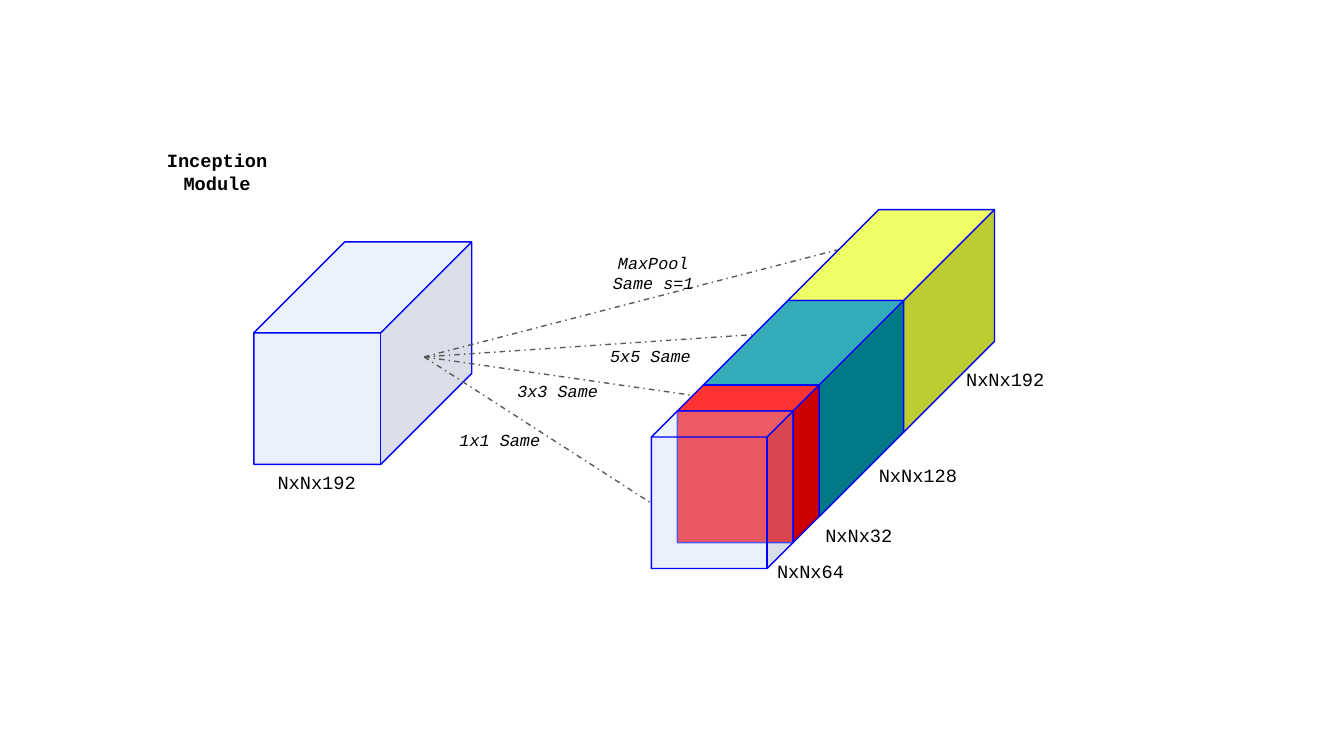
from lxml import etree
from pptx import Presentation
from pptx.dml.color import RGBColor
from pptx.enum import dml, shapes, text
from pptx.oxml.ns import qn
from pptx.util import Pt

FONT = "Courier New"
BLACK, BLUE, GREY, PALE = "000000", "0000FF", "595959", "C9DAF8"
FRONT_HEIGHT = 70.5

TITLE = ("Inception Module", 85.7, 79.9, 61.2, 25.2)

# right and top of the rear edge, front width, then (depth, colour, opacity %) from back to front
STACKS = [
    (252.7, 129.6, 68, [(48.7, PALE, 40)]),
    (532.8, 112.3, 62, [
        (48.7, "EEFF41", 100),
        (45.3, "0097A7", 100),
        (13.9, "FF0000", 100),
        (13.9, PALE, 40),
    ]),
]

# text, left, top, width
SIZE_LABELS = [
    ("NxNx192", 139, 252, 61.2),
    ("NxNx64", 412.6, 300.2, 43.2),
    ("NxNx32", 438.5, 280.8, 43.2),
    ("NxNx128", 468, 248.4, 47.5),
    ("NxNx192", 514.8, 197.3, 47.5),
]
FILTER_LABELS = [
    ("1x1 Same", 245.5, 230.4, 44.5),
    ("3x3 Same", 276.5, 203.8, 44.5),
    ("5x5 Same", 326.2, 185, 44.5),
    ("MaxPool Same s=1", 327.7, 135.4, 44.5),
]
LABEL_HEIGHT = 14.4

FILTER_START = (227.2, 191.2)
FILTER_ENDS = [(348.5, 269.3), (370.1, 211.7), (403.2, 179.3), (448.6, 133.9)]


def colour(value):
    return RGBColor.from_string(value)


def write(shape, words, size, bold=False, italic=False):
    frame = shape.text_frame
    frame.margin_left = frame.margin_right = frame.margin_top = frame.margin_bottom = 0
    frame.word_wrap = True
    frame.auto_size = text.MSO_AUTO_SIZE.NONE
    frame.vertical_anchor = text.MSO_ANCHOR.TOP
    paragraph = frame.paragraphs[0]
    paragraph.alignment = text.PP_ALIGN.CENTER
    run = paragraph.add_run()
    run.text = words
    run.font.name = FONT
    run.font.size = Pt(size)
    run.font.bold = bold
    run.font.italic = italic
    run.font.color.rgb = colour(BLACK)


def add_cube(slide, right, top, front_width, depth, fill, opacity):
    width, height = front_width + depth, FRONT_HEIGHT + depth
    cube = slide.shapes.add_shape(
        shapes.MSO_SHAPE.CUBE, Pt(right - width), Pt(top), Pt(width), Pt(height))
    cube.shadow.inherit = False
    cube.adjustments[0] = depth / min(width, height)
    cube.fill.solid()
    cube.fill.fore_color.rgb = colour(fill)
    if opacity < 100:
        solid = cube._element.spPr.find(qn("a:solidFill"))
        etree.SubElement(solid[0], qn("a:alpha"), val=str(opacity * 1000))
    cube.line.color.rgb = colour(BLUE)
    cube.line.width = Pt(0.75)


def add_filter_line(slide, end):
    points = [Pt(value) for value in (*FILTER_START, *end)]
    line = slide.shapes.add_connector(shapes.MSO_CONNECTOR.STRAIGHT, *points)
    line.line.color.rgb = colour(GREY)
    line.line.width = Pt(0.75)
    line.line.dash_style = dml.MSO_LINE.DASH_DOT
    etree.SubElement(line._element.spPr, qn("a:effectLst"))


def add_label(slide, words, left, top, width, size, italic=False):
    box = slide.shapes.add_textbox(Pt(left), Pt(top), Pt(width), Pt(LABEL_HEIGHT))
    write(box, words, size, italic=italic)


def main():
    presentation = Presentation()
    presentation.slide_width, presentation.slide_height = Pt(720), Pt(405)
    slide = presentation.slides.add_slide(presentation.slide_layouts[5])

    title = slide.shapes.title
    words, *box = TITLE
    title.left, title.top, title.width, title.height = [Pt(value) for value in box]
    write(title, words, 10, bold=True)

    for right, top, front_width, cubes in STACKS:
        for depth, fill, opacity in cubes:
            add_cube(slide, right, top, front_width, depth, fill, opacity)
            # The next cube starts at this one's front face
            right -= depth
            top += depth

    for label in SIZE_LABELS:
        add_label(slide, *label, size=10)
    for end in FILTER_ENDS:
        add_filter_line(slide, end)
    for label in FILTER_LABELS:
        add_label(slide, *label, size=9, italic=True)

    presentation.save("out.pptx")


if __name__ == "__main__":
    main()
